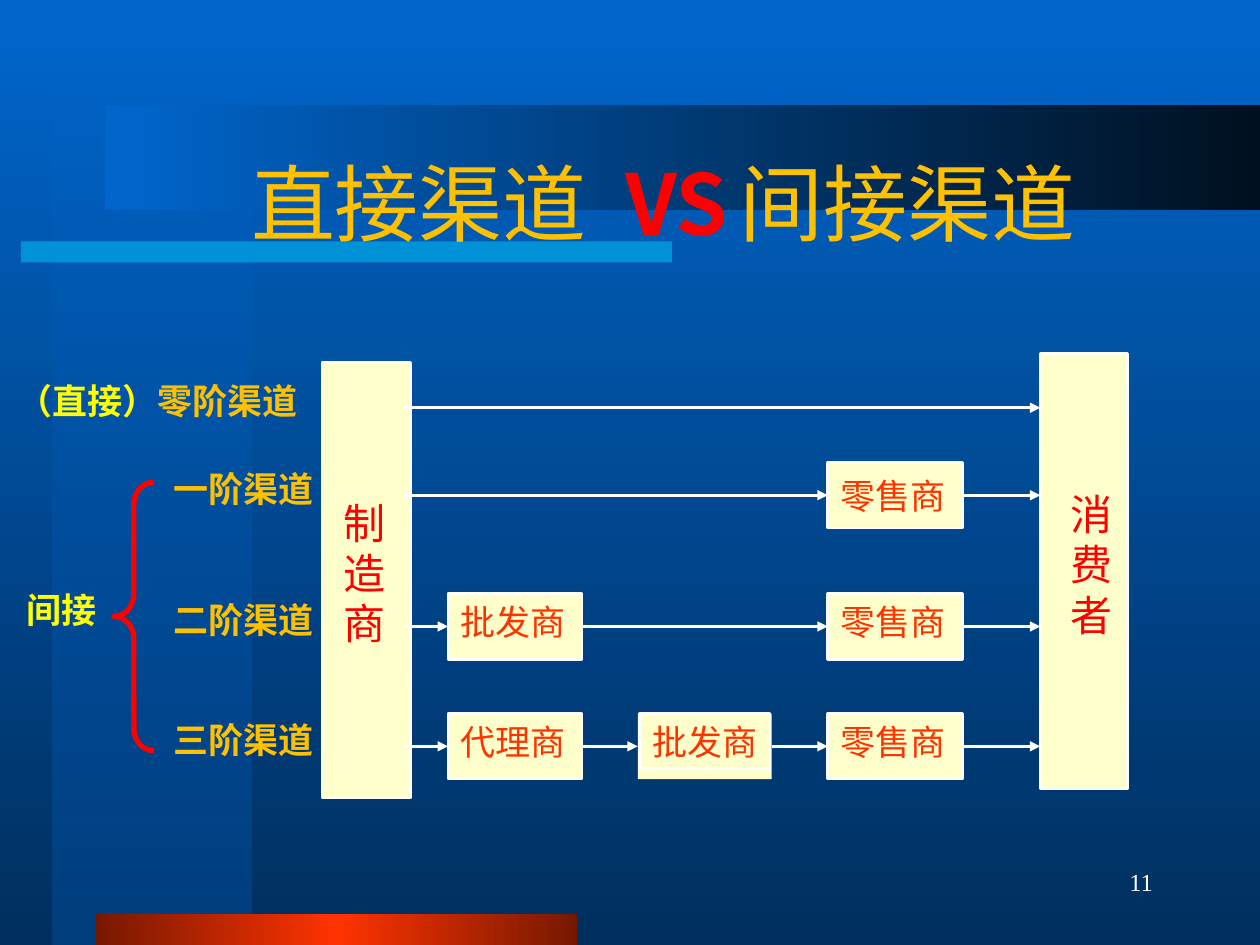
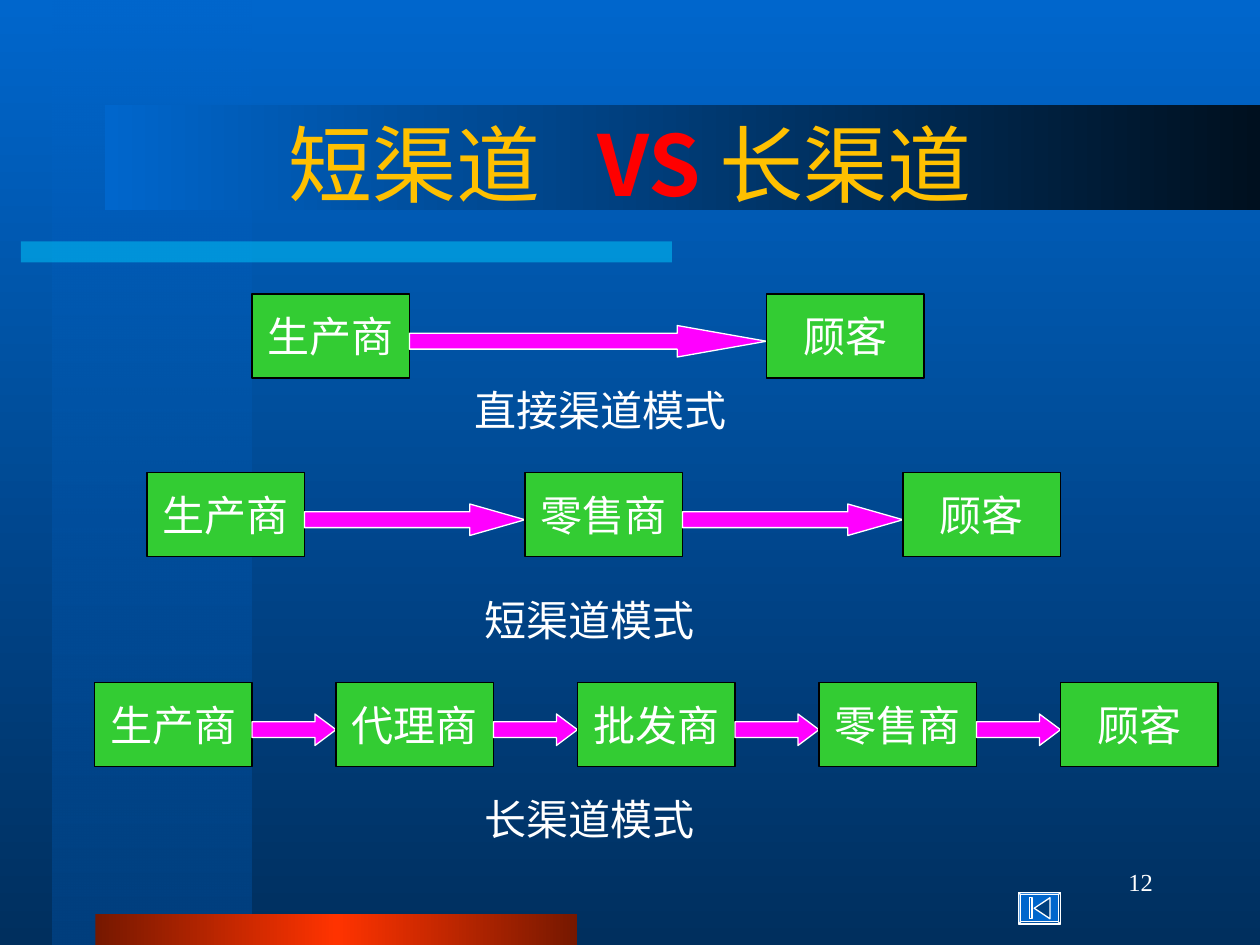
from dataclasses import dataclass

from lxml.etree import SubElement
from pptx import Presentation
from pptx.dml.color import RGBColor
from pptx.enum.shapes import MSO_CONNECTOR, MSO_SHAPE
from pptx.enum.text import MSO_ANCHOR, MSO_AUTO_SIZE, PP_ALIGN
from pptx.oxml.ns import qn
from pptx.util import Pt


@dataclass(frozen=True)
class Theme:
    cjk: str = "Noto Sans CJK SC"
    serif: str = "Times New Roman"
    label_font: str = "Cabin"
    title_size: int = 48
    node_size: int = 24
    label_size: int = 20
    number_size: int = 14
    blue: str = "0066CC"
    navy: str = "002F5E"
    column_blue: str = "003F7E"
    band_black: str = "00101F"
    cyan: str = "00CCFF"
    maroon: str = "761800"
    orange: str = "FF3300"
    gold: str = "FFC000"
    red: str = "FF0000"
    yellow: str = "FFFF00"
    cream: str = "FFFFCC"
    green: str = "33CC33"
    magenta: str = "FF00FF"
    white: str = "FFFFFF"
    black: str = "000000"


THEME = Theme()
RIGHT_SIDE, LEFT_SIDE = 3, 1


@dataclass(frozen=True)
class Run:
    text: str
    size: float
    color: str
    font: str = THEME.cjk
    bold: bool = False
    tracking: float = 0


def gradient(fill, owner, stops, angle):
    """Fill with (position %, colour, opacity %) stops; angle is clockwise degrees."""
    fill.gradient()
    grad = owner.xpath(".//a:gradFill")[0]
    stop_list = grad.find(qn("a:gsLst"))
    for default_stop in list(stop_list):
        stop_list.remove(default_stop)
    for position, color, opacity in stops:
        stop = SubElement(stop_list, qn("a:gs"), pos=str(position * 1000))
        rgb = SubElement(stop, qn("a:srgbClr"), val=color)
        if opacity < 100:
            SubElement(rgb, qn("a:alpha"), val=str(opacity * 1000))
    grad.find(qn("a:lin")).set("ang", str(angle * 60000))


def add_block(slide, kind, area, fill=None, outline=None, width=0.75):
    block = slide.shapes.add_shape(kind, *map(Pt, area))
    block.shadow.inherit = False
    if fill:
        block.fill.solid()
        block.fill.fore_color.rgb = RGBColor.from_string(fill)
    else:
        block.fill.background()
    if outline:
        block.line.color.rgb = RGBColor.from_string(outline)
        block.line.width = Pt(width)
    else:
        block.line.fill.background()
    return block


def write(shape, lines, align=PP_ALIGN.CENTER, wrap=False, left=7.2, bottom=3.6):
    """Set vertically centred text; each line is a list of runs."""
    frame = shape.text_frame
    frame.text = "\n".join("".join(run.text for run in line) for line in lines)
    frame.auto_size = MSO_AUTO_SIZE.NONE
    frame.word_wrap = wrap
    frame.vertical_anchor = MSO_ANCHOR.MIDDLE
    frame.margin_left, frame.margin_right = Pt(left), Pt(7.2)
    frame.margin_top, frame.margin_bottom = Pt(3.6), Pt(bottom)
    for paragraph, line in zip(frame.paragraphs, lines):
        paragraph.alignment = align
        paragraph.runs[0].text = line[0].text
        for spec in line[1:]:
            paragraph.add_run().text = spec.text
        for run, spec in zip(paragraph.runs, line):
            run.font.size = Pt(spec.size)
            run.font.bold = spec.bold
            run.font.name = spec.font
            run.font.color.rgb = RGBColor.from_string(spec.color)
            properties = run.font._element
            properties.find(qn("a:latin")).addnext(
                properties.makeelement(qn("a:ea"), {"typeface": THEME.cjk}))
            if spec.tracking:
                properties.set("spc", str(int(spec.tracking * 100)))


def add_label(slide, area, runs, align=PP_ALIGN.CENTER):
    write(slide.shapes.add_textbox(*map(Pt, area)), [runs], align, wrap=True)


def set_title(slide, area, runs):
    title = slide.shapes.title
    title.left, title.top, title.width, title.height = map(Pt, area)
    write(title, [runs], wrap=True)


def title_words(before, after, gap, tracking=0):
    """Gold words around a red VS, with a space run of the given size before the last."""
    t = THEME
    return [
        Run(before, t.title_size, t.gold, t.serif),
        Run(" ", t.title_size, t.gold, t.serif, tracking=tracking),
        Run("VS", t.title_size, t.red, bold=True),
        Run(" ", gap, t.gold, bold=True),
        Run(after, t.title_size, t.gold, t.serif),
    ]


def add_number(slide, number):
    add_label(slide, (516, 486, 150, 36),
              [Run(number, THEME.number_size, THEME.white, THEME.serif)], PP_ALIGN.RIGHT)


def add_flow(slide, start, end, source=None, target=None):
    """Draw a white arrow, joined to the source's right and the target's left side."""
    flow = slide.shapes.add_connector(MSO_CONNECTOR.STRAIGHT, *map(Pt, (*start, *end)))
    flow.line.color.rgb = RGBColor.from_string(THEME.white)
    flow.line.width = Pt(1.5)
    outline = flow.element.spPr.find(qn("a:ln"))
    SubElement(outline, qn("a:tailEnd"), type="triangle")
    SubElement(flow.element.spPr, qn("a:effectLst"))
    if source is not None:
        flow.begin_connect(source, RIGHT_SIDE)
    if target is not None:
        flow.end_connect(target, LEFT_SIDE)


def decorate_master(master, slide):
    """Give the master its background and bands; they are drawn on slide, then moved."""
    t = THEME
    gradient(master.background.fill, master.element,
             [(0, t.blue, 100), (100, t.navy, 100)], 90)
    column = add_block(slide, MSO_SHAPE.RECTANGLE, (30, 0, 114, 540))
    gradient(column.fill, column.element,
             [(0, t.blue, 50), (100, t.column_blue, 100)], 90)
    underline = add_block(slide, MSO_SHAPE.RECTANGLE, (12, 138, 372, 12), t.cyan)
    rgb = underline.element.xpath("./p:spPr/a:solidFill/a:srgbClr")[0]
    SubElement(rgb, qn("a:alpha"), val="50000")
    footer = add_block(slide, MSO_SHAPE.RECTANGLE, (54.5, 522, 275.5, 18))
    gradient(footer.fill, footer.element,
             [(0, t.maroon, 100), (50, t.orange, 100), (100, t.maroon, 100)], 0)
    header = add_block(slide, MSO_SHAPE.RECTANGLE, (60, 60, 660, 60))
    gradient(header.fill, header.element,
             [(0, t.blue, 100), (100, t.band_black, 100)], 0)
    for index, band in enumerate((column, underline, footer, header)):
        band.element.xpath("./p:nvSpPr/p:cNvPr")[0].set("id", str(101 + index))
        master.shapes.element.insert(2 + index, band.element)


def add_party(slide, area, name, left=7.2):
    """Draw a tall bar with its name written downwards."""
    bar = add_block(slide, MSO_SHAPE.RECTANGLE, area, THEME.cream, THEME.white, 1.5)
    write(bar, [[Run(letter, THEME.node_size, THEME.red)] for letter in name],
          left=left, bottom=12)


def add_middleman(slide, name, left, middle, width, raised, split):
    """Draw a dealer box; a split one has its outline round the name only."""
    top, height = middle - 18.75, 37.5
    box = add_block(slide, MSO_SHAPE.RECTANGLE, (left, top, width, height),
                    THEME.cream, None if split else THEME.white, 1.5)
    runs = [Run(name, THEME.label_size, THEME.orange)]
    if split:
        name_frame = add_block(slide, MSO_SHAPE.RECTANGLE, (left + 1, top, 74.5, 31.5),
                               None, THEME.white, 1.5)
        write(name_frame, [runs])
    else:
        write(box, [runs], left=5, bottom=9.6 if raised else 3.6)
    return box


def build_direct_and_indirect(slide):
    t = THEME
    set_title(slide, (108, 83, 542, 65), title_words("直接渠道", "间接渠道", 28, 11))
    add_number(slide, "11")
    add_party(slide, (184, 207, 50.5, 249), "制造商", left=5)
    add_party(slide, (594.5, 202, 50, 249), "消费者", left=16)

    columns = [(256, 76.5), (364.5, 76.5), (473, 77)]
    channels = [
        ("零阶渠道", 233, {}),
        ("一阶渠道", 283, {2: "零售商"}),
        ("二阶渠道", 358, {0: "批发商", 2: "零售商"}),
        ("三阶渠道", 426.5, {0: "代理商", 1: "批发商", 2: "零售商"}),
    ]
    for channel, middle, dealers in channels:
        source, start = None, 230.5
        for column, dealer in dealers.items():
            left, width = columns[column]
            box = add_middleman(slide, dealer, left, middle, width,
                                raised=len(dealers) > 1, split=column == 1)
            add_flow(slide, (start, middle), (left, middle), source, box)
            source, start = box, left + width
        add_flow(slide, (start, middle), (594.5, middle), source)

        runs = [Run(channel, t.label_size, t.gold, t.label_font, True)]
        area = (83.5, middle - 20, 111.5, 32)
        if not dealers:
            runs.insert(0, Run("（直接）", t.label_size, t.yellow, bold=True))
            area = (0, middle - 20, 180, 32)
        add_label(slide, area, runs)

    brace = add_block(slide, MSO_SHAPE.LEFT_BRACE, (65, 275.5, 23, 153.5),
                      None, t.red, 3)
    brace.adjustments[0] = 0.55
    add_label(slide, (0, 332.5, 70.5, 32),
              [Run("间接", t.label_size, t.yellow, bold=True)])


def add_chain(slide, left, top, pitch, names):
    """Draw equally spaced green boxes with a block arrow in every gap."""
    t = THEME
    width, height, arrow_height = 90, 48, 18
    for index, name in enumerate(names):
        x = left + index * pitch
        member = add_block(slide, MSO_SHAPE.RECTANGLE, (x, top, width, height),
                           t.green, t.black)
        write(member, [[Run(name, t.node_size, t.white, t.serif)]])
        if index < len(names) - 1:
            gap = pitch - width
            arrow = add_block(slide, MSO_SHAPE.RIGHT_ARROW,
                              (x + width, top + 18, gap, arrow_height),
                              t.magenta, t.white)
            arrow.adjustments[1] = gap / 4 / arrow_height


def add_back_button(slide):
    t = THEME
    frame = add_block(slide, MSO_SHAPE.BEVEL, (582, 510, 24, 18), t.blue, t.white)
    frame.adjustments[0] = 0.07
    add_block(slide, MSO_SHAPE.RECTANGLE, (588.5, 513, 1.2, 12), t.blue, t.white)
    outline = slide.shapes.build_freeform(Pt(591), Pt(519))
    outline.add_line_segments([(Pt(600), Pt(513)), (Pt(600), Pt(525))], close=True)
    triangle = outline.convert_to_shape()
    triangle.shadow.inherit = False
    triangle.fill.solid()
    triangle.fill.fore_color.rgb = RGBColor.from_string(t.column_blue)
    triangle.line.color.rgb = RGBColor.from_string(t.white)
    triangle.line.width = Pt(0.75)


def build_short_and_long(slide):
    t = THEME
    set_title(slide, (54, 48, 612, 90), title_words("短渠道", "长渠道", t.title_size, 22))
    add_number(slide, "12")
    chains = [
        (144, 168, 294, ["生产商", "顾客"]),
        (84, 270, 216, ["生产商", "零售商", "顾客"]),
        (54, 390, 138, ["生产商", "代理商", "批发商", "零售商", "顾客"]),
    ]
    for chain in chains:
        add_chain(slide, *chain)
    captions = [
        ("直接渠道模式", (264, 216, 162, 36)),
        ("短渠道模式", (270, 336, 150, 36)),
        ("长渠道模式", (270, 450, 150, 36)),
    ]
    for caption, area in captions:
        add_label(slide, area, [Run(caption, t.node_size, t.white, t.serif)],
                  PP_ALIGN.LEFT)
    add_back_button(slide)


def main():
    deck = Presentation()
    deck.slide_width, deck.slide_height = Pt(720), Pt(540)
    title_only = deck.slide_layouts[5]
    channel_types, channel_lengths = (deck.slides.add_slide(title_only) for _ in range(2))
    decorate_master(deck.slide_master, channel_types)
    build_direct_and_indirect(channel_types)
    build_short_and_long(channel_lengths)
    deck.save("out.pptx")


if __name__ == "__main__":
    main()
